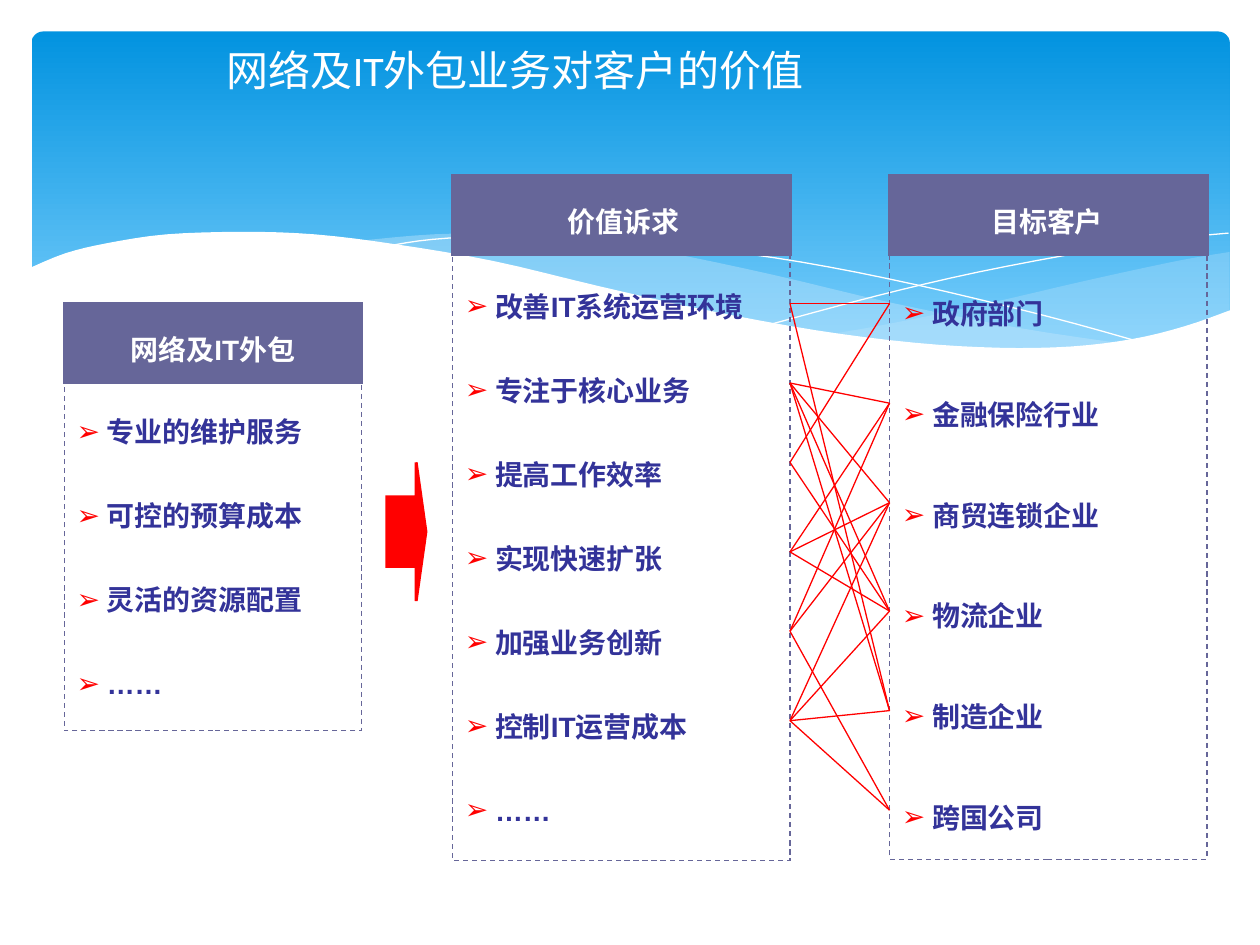
from lxml.etree import SubElement
from pptx import Presentation
from pptx.dml.color import RGBColor
from pptx.enum.dml import MSO_LINE
from pptx.enum.shapes import MSO_CONNECTOR, MSO_SHAPE
from pptx.enum.text import MSO_ANCHOR, PP_ALIGN
from pptx.oxml.ns import qn
from pptx.util import Inches, Pt

# Content
TITLE = "网络及IT外包业务对客户的价值"
# header, items, line spacing, body box, header top, header text left and width
PANELS = [
    ("目标客户", ["政府部门", "金融保险行业", "商贸连锁企业", "物流企业", "制造企业", "跨国公司"],
     3, (7.06, 1.62, 2.52, 5.2), 1.39, (7.07, 2.48)),
    ("价值诉求", ["改善IT系统运营环境", "专注于核心业务", "提高工作效率", "实现快速扩张",
              "加强业务创新", "控制IT运营成本", "……"],
     2.5, (3.59, 1.63, 2.68, 5.2), 1.39, (3.63, 2.64)),
    ("网络及IT外包", ["专业的维护服务", "可控的预算成本", "灵活的资源配置", "……"],
     2.5, (0.51, 2.65, 2.36, 3.15), 2.41, (0.55, 2.28)),
]
# Heights where the links meet each column, and the values each customer seeks
VALUE_Y = [2.41, 3.04, 3.67, 4.38, 5.01, 5.72]
CUSTOMER_Y = [2.41, 3.2, 3.99, 4.85, 5.64, 6.43]
LINKS = [(0, 2), (1, 3, 4), (1, 3, 4, 5), (1, 2, 3, 5), (0, 1, 5), (4, 5)]
VALUE_EDGE, CUSTOMER_EDGE = 6.27, 7.06

# Backdrop waves: each is a chain of curves, with an opacity or None for a thin line
WAVES = [
    (29, "C6E7FC", [
        [(9.76, 2), (9.35, 2.07), (8.61, 2.23), (7.79, 2.42), (7.06, 2.57), (6.61, 2.65)],
        [(6.61, 2.65), (7.18, 2.73), (7.69, 2.77), (8.14, 2.78), (8.63, 2.75),
         (9.13, 2.67), (9.49, 2.57), (9.76, 2.47)]]),
    (40, "C6E7FC", [
        [(8.93, 2.73), (8.07, 2.6), (7.06, 2.4), (6.13, 2.18), (5.27, 2), (4.64, 1.91),
         (3.99, 1.86), (3.44, 1.86), (2.86, 1.91)],
        [(2.86, 1.91), (3.62, 2.03), (4.49, 2.22), (5.3, 2.4), (6.18, 2.58), (6.95, 2.7),
         (7.61, 2.77), (8.18, 2.79), (8.57, 2.77), (8.93, 2.73)]]),
    (None, "FFFFFF", [
        [(3.09, 1.95), (3.43, 1.9), (4.01, 1.87), (4.69, 1.89), (5.56, 1.97), (6.36, 2.08),
         (7.27, 2.26), (8.31, 2.51), (9.07, 2.72)]]),
    (None, "FFFFFF", [
        [(6.13, 2.57), (6.95, 2.35), (7.76, 2.16), (8.66, 1.99), (9.24, 1.9), (9.75, 1.85)]]),
    (100, "FFFFFF", [
        [(9.77, 2.46), (9.4, 2.59), (8.99, 2.69), (8.5, 2.75), (7.93, 2.76), (7.26, 2.72),
         (6.47, 2.62), (5.55, 2.45), (4.75, 2.27), (3.91, 2.07), (3.15, 1.94), (2.5, 1.86),
         (1.93, 1.84), (1.32, 1.86), (0.85, 1.93), (0.52, 2.01), (0.23, 2.13)],
        [(0.23, 3.29), (9.77, 3.29)]]),
]

THEME = {
    "sky": ("0293E0", "83D3FE"), "panel": "666699", "item": "333399",
    "accent": "FF0000", "light": "FFFFFF",
    "title_font": "Calibri", "text_font": "Arial",
    "title_size": 24, "text_size": 16,
    "thin": 0.75, "thick": 1.75, "bullet_indent": 0.24,
}
HEADER_HEIGHT = 0.63
HEADER_TEXT_HEIGHT = 0.74


def rgb(color):
    return RGBColor.from_string(color)


def smooth_curve(points, steps=4):
    """Catmull-Rom interpolation through the given points."""
    padded = [points[0], *points, points[-1]]
    curve = [points[0]]
    for a, b, c, d in zip(padded, padded[1:], padded[2:], padded[3:]):
        for step in range(1, steps + 1):
            t = step / steps
            curve.append(tuple(
                q + t / 2 * (r - p + t * (2 * p - 5 * q + 4 * r - s + t * (3 * (q - r) + s - p)))
                for p, q, r, s in zip(a, b, c, d)))
    return curve


def add_wave(slide, opacity, color, curves):
    outline = [(Inches(x), Inches(y)) for curve in curves for x, y in smooth_curve(curve)]
    builder = slide.shapes.build_freeform(*outline[0])
    builder.add_line_segments(outline[1:], close=opacity is not None)
    wave = builder.convert_to_shape()
    wave.shadow.inherit = False
    if opacity is None:
        wave.fill.background()
        wave.line.color.rgb = rgb(color)
        wave.line.width = Pt(0)
        return wave
    wave.fill.solid()
    wave.fill.fore_color.rgb = rgb(color)
    wave.line.fill.background()
    if opacity < 100:
        tint = wave.element.spPr.find(f"{qn('a:solidFill')}/{qn('a:srgbClr')}")
        SubElement(tint, qn("a:alpha"), val=str(opacity * 1000))
    return wave


def add_block(slide, preset, box, line, width, fill=None):
    block = slide.shapes.add_shape(preset, *map(Inches, box))
    block.shadow.inherit = False
    if fill:
        block.fill.solid()
        block.fill.fore_color.rgb = rgb(fill)
    else:
        block.fill.background()
    block.line.color.rgb = rgb(line)
    block.line.width = Pt(width)
    SubElement(block.element.spPr.find(qn("a:ln")), qn("a:miter"), lim="800000")
    return block


def write(frame, lines, color, align, spacing=None, bullet=False,
          font="text_font", size="text_size", bold=True):
    frame.word_wrap = True
    frame.vertical_anchor = MSO_ANCHOR.MIDDLE
    frame.text = "\n".join(lines)
    for paragraph in frame.paragraphs:
        paragraph.alignment = align
        if spacing:
            paragraph.line_spacing = spacing
        if bullet:
            props = paragraph._p.get_or_add_pPr()
            indent = Inches(THEME["bullet_indent"])
            props.set("marL", str(indent))
            props.set("indent", str(-indent))
            SubElement(SubElement(props, qn("a:buClr")), qn("a:srgbClr"), val=THEME["accent"])
            SubElement(props, qn("a:buFont"), typeface=THEME["text_font"])
            SubElement(props, qn("a:buChar"), char="➢")
        for run in paragraph.runs:
            run.font.name = THEME[font]
            run.font.size = Pt(THEME[size])
            run.font.bold = bold
            run.font.color.rgb = rgb(color)


def main():
    deck = Presentation()
    deck.slide_width, deck.slide_height = Inches(10), Inches(7.5)
    slide = deck.slides.add_slide(deck.slide_layouts[5])

    # Backdrop
    sky = add_block(slide, MSO_SHAPE.ROUNDED_RECTANGLE, (0.25, 0.25, 9.51, 2.7),
                    THEME["light"], 0)
    sky.adjustments[0] = 0.034
    sky.line.fill.background()
    sky.fill.gradient()
    sky.fill.gradient_angle = 270
    for stop, color, position in zip(sky.fill.gradient_stops, THEME["sky"], (0, 1)):
        stop.color.rgb = rgb(color)
        stop.position = position
    for wave in WAVES:
        front_wave = add_wave(slide, *wave)

    # Title, placed above the backdrop
    title = slide.shapes.title
    front_wave.element.addnext(title.element)
    title.left, title.top, title.width, title.height = map(Inches, (0.43, 0, 7.32, 1.1))
    write(title.text_frame, [TITLE], THEME["light"], PP_ALIGN.CENTER,
          font="title_font", size="title_size", bold=False)

    # Panels: dashed lists, then header bars
    for _, items, spacing, box, _, _ in PANELS:
        panel = add_block(slide, MSO_SHAPE.RECTANGLE, box, THEME["panel"], THEME["thin"])
        panel.line.dash_style = MSO_LINE.DASH
        write(panel.text_frame, items, THEME["item"], PP_ALIGN.LEFT, spacing, bullet=True)
    for _, _, _, (left, _, width, _), top, _ in PANELS:
        add_block(slide, MSO_SHAPE.RECTANGLE, (left, top, width, HEADER_HEIGHT),
                  THEME["panel"], THEME["thick"], THEME["panel"])

    # Arrow from the service to its values
    arrow = add_block(slide, MSO_SHAPE.RIGHT_ARROW, (3.07, 3.67, 0.31, 1.1),
                      THEME["accent"], THEME["thick"], THEME["accent"])
    arrow.adjustments[0], arrow.adjustments[1] = 0.5, 0.25

    # Links between customers and values
    for customer_y, values in zip(CUSTOMER_Y, LINKS):
        for value in values:
            link = slide.shapes.add_connector(
                MSO_CONNECTOR.STRAIGHT,
                *map(Inches, (CUSTOMER_EDGE, customer_y, VALUE_EDGE, VALUE_Y[value])))
            link.line.color.rgb = rgb(THEME["accent"])
            link.line.width = Pt(THEME["thin"])
            SubElement(link.element.spPr, qn("a:effectLst"))

    # Header texts
    for header, _, _, _, top, (left, width) in reversed(PANELS):
        label = slide.shapes.add_textbox(
            *map(Inches, (left, top - 0.08, width, HEADER_TEXT_HEIGHT)))
        write(label.text_frame, [header], THEME["light"], PP_ALIGN.CENTER, 1.55)

    deck.save("out.pptx")


if __name__ == "__main__":
    main()
